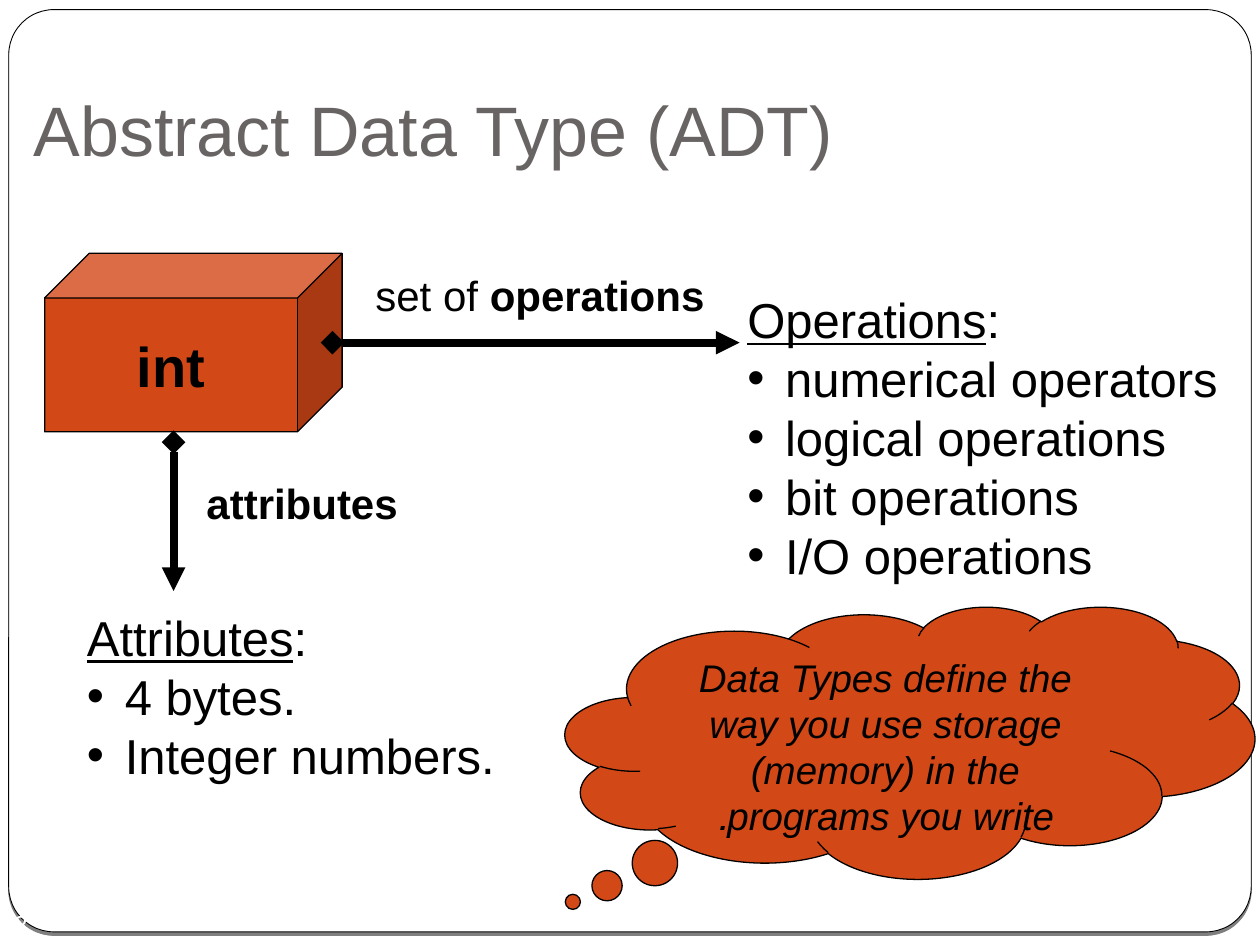
from dataclasses import dataclass

from lxml import etree
from pptx import Presentation
from pptx.dml.color import RGBColor
from pptx.enum.shapes import MSO_CONNECTOR, MSO_SHAPE
from pptx.enum.text import MSO_ANCHOR, MSO_AUTO_SIZE, PP_ALIGN
from pptx.oxml import parse_xml
from pptx.oxml.ns import nsdecls, qn
from pptx.util import Pt

LEFT, CENTER = PP_ALIGN.LEFT, PP_ALIGN.CENTER
TOP, MIDDLE, BOTTOM = MSO_ANCHOR.TOP, MSO_ANCHOR.MIDDLE, MSO_ANCHOR.BOTTOM
FIXED_SIZE = MSO_AUTO_SIZE.NONE
STRAIGHT = MSO_CONNECTOR.STRAIGHT
PAGE_SHAPE, CUBE, CLOUD = MSO_SHAPE.ROUNDED_RECTANGLE, MSO_SHAPE.CUBE, MSO_SHAPE.CLOUD_CALLOUT
COLORS = {"paper": "FFFFFF", "ink": "000000", "title": "696464", "accent": "D34817"}
FONT = "Arial"
INDENT = 21.6


@dataclass
class Box:
    left: float
    top: float
    width: float
    height: float

    def lengths(self) -> list:
        return [Pt(v) for v in (self.left, self.top, self.width, self.height)]


@dataclass
class ListPart:
    heading: str
    items: list[str]
    box: Box


@dataclass
class Label:
    spans: list[tuple[str, dict]]
    box: Box


@dataclass
class Arrow:
    start: tuple[float, float]
    end: tuple[float, float]


LISTS = [
    ListPart("Attributes", ["4 bytes.", "Integer numbers."], Box(42.5, 343.5, 390, 108)),
    ListPart("Operations", ["numerical operators", "logical operations",
                            "bit operations", "I/O operations"],
             Box(419.8, 162, 292, 175)),
]
LABELS = [
    Label([("set of ", {}), ("operations", {"bold": True})], Box(207.4, 150.5, 202.3, 36)),
    Label([("attributes", {"bold": True})], Box(110.9, 269.3, 123.8, 36)),
]
ARROWS = [Arrow((99.2, 252.7), (99.2, 337.7)), Arrow((190, 195.8), (422.6, 195.8))]


def color(name: str) -> RGBColor:
    return RGBColor.from_string(COLORS[name])


def add_span(para, text: str, size: float, ink: str = "ink", **formats) -> None:
    span = para.add_run()
    span.text = text
    for name, value in {"name": FONT, "size": Pt(size), **formats}.items():
        setattr(span.font, name, value)
    span.font.color.rgb = color(ink)


def set_frame(frame, anchor=TOP, wrap: bool = True, margins=(7.2, 3.6, 7.2, 3.6)) -> None:
    frame.auto_size = FIXED_SIZE
    frame.word_wrap = wrap
    frame.vertical_anchor = anchor
    for side, margin in zip(("left", "top", "right", "bottom"), margins):
        setattr(frame, f"margin_{side}", Pt(margin))


def place(shape, box: Box) -> None:
    for name, value in zip(("left", "top", "width", "height"), box.lengths()):
        setattr(shape, name, value)


def add_block(slide, kind, box: Box, fill: str, line_width: float, adjustments: list[float]):
    shape = slide.shapes.add_shape(kind, *box.lengths())
    shape.shadow.inherit = False
    shape.fill.solid()
    shape.fill.fore_color.rgb = color(fill)
    shape.line.color.rgb = color("ink")
    shape.line.width = Pt(line_width)
    for index, value in enumerate(adjustments):
        shape.adjustments[index] = value
    return shape


def fill_list(placeholder, part: ListPart) -> None:
    place(placeholder, part.box)
    frame = placeholder.text_frame
    set_frame(frame)
    for index, text in enumerate([part.heading, *part.items]):
        para = frame.paragraphs[0] if index == 0 else frame.add_paragraph()
        para.space_before = Pt(0)
        properties = para._p.get_or_add_pPr()
        properties.set("marL", str(Pt(INDENT)))
        properties.set("indent", str(-Pt(INDENT)))
        if index == 0:
            etree.SubElement(properties, qn("a:buNone"))
            add_span(para, text, 28, underline=True)
            add_span(para, ":", 28, underline=False)
        else:
            etree.SubElement(properties, qn("a:buChar")).set("char", "•")
            add_span(para, text, 28)


def add_label(slide, label: Label) -> None:
    frame = slide.shapes.add_textbox(*label.box.lengths()).text_frame
    set_frame(frame, wrap=False)
    for text, formats in label.spans:
        add_span(frame.paragraphs[0], text, 24, **formats)


def add_arrow(slide, arrow: Arrow) -> None:
    ends = [Pt(value) for value in (*arrow.start, *arrow.end)]
    connector = slide.shapes.add_connector(STRAIGHT, *ends)
    connector.line.color.rgb = color("ink")
    connector.line.width = Pt(4.5)
    properties = connector._element.spPr
    line = properties.find(qn("a:ln"))
    for tag, kind in (("a:headEnd", "diamond"), ("a:tailEnd", "triangle")):
        etree.SubElement(line, qn(tag)).set("type", kind)
    etree.SubElement(properties, qn("a:effectLst"))


def main() -> None:
    deck = Presentation()
    deck.slide_width, deck.slide_height = Pt(720), Pt(540)
    slide = deck.slides.add_slide(deck.slide_layouts[3])
    slide.background.fill.solid()
    slide.background.fill.fore_color.rgb = color("paper")

    # Rounded page frame with a shadow below, behind everything
    page = add_block(slide, PAGE_SHAPE, Box(5, 5.5, 710, 527), "paper", 0.5, [0.049])
    page._element.spPr.find(qn("a:effectLst")).append(parse_xml(
        f'<a:outerShdw {nsdecls("a")} blurRad="0" dist="{Pt(2)}" dir="5400000">'
        f'<a:srgbClr val="{COLORS["ink"]}"><a:alpha val="50000"/></a:srgbClr>'
        '</a:outerShdw>'))
    slide.shapes._spTree.insert(2, page._element)

    # Page number
    number = slide.shapes.add_textbox(*Box(0, 516, 24, 24).lengths()).text_frame
    set_frame(number, MIDDLE, margins=(0, 0, 0, 0))
    number.paragraphs[0].alignment = CENTER
    add_span(number.paragraphs[0], "2", 14, "paper")

    # Title and lists
    title = slide.shapes.title
    place(title, Box(12, 14.4, 612, 90))
    set_frame(title.text_frame, BOTTOM, margins=(7.2, 3.6, 7.2, 7.2))
    title.text_frame.paragraphs[0].alignment = LEFT
    add_span(title.text_frame.paragraphs[0], "Abstract Data Type (ADT)", 40, "title")
    for index, part in enumerate(LISTS, start=1):
        fill_list(slide.placeholders[index], part)

    # Data type cube, with its arrows and labels
    cube = add_block(slide, CUBE, Box(25.5, 144.8, 170, 102), "accent", 0.75, [0.25])
    set_frame(cube.text_frame, MIDDLE, wrap=False)
    cube.text_frame.paragraphs[0].alignment = CENTER
    add_span(cube.text_frame.paragraphs[0], "int", 32, bold=True)
    for arrow in ARROWS:
        add_arrow(slide, arrow)
    for label in LABELS:
        add_label(slide, label)

    # Thought cloud, set right to left
    cloud = add_block(slide, CLOUD, Box(323, 346.5, 394, 155.5), "accent", 0.75, [-0.489, 0.586])
    set_frame(cloud.text_frame)
    para = cloud.text_frame.paragraphs[0]
    para.alignment = CENTER
    para._p.get_or_add_pPr().set("rtl", "1")
    add_span(para, "Data Types define the way you use storage (memory) "
                   "in the programs you write.", 22, italic=True)

    deck.save("out.pptx")


if __name__ == "__main__":
    main()
